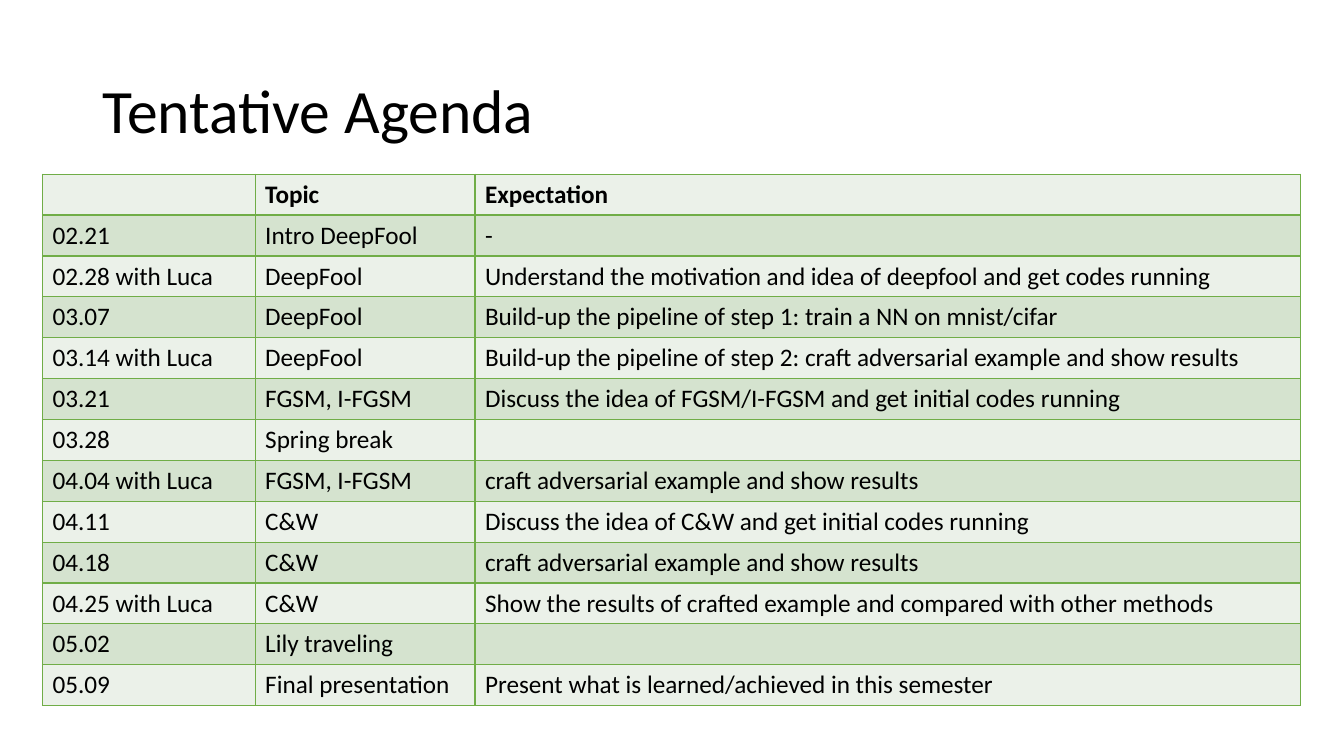
from lxml import etree
from pptx import Presentation
from pptx import util as u
from pptx.dml.color import RGBColor
from pptx.enum import text
from pptx.oxml.ns import qn

FONT = "Calibri"
COLORS = {"text": "000000", "border": "70AD47", "light": "EBF1E9", "dark": "D5E3CF"}
COLUMN_WIDTHS = (5.36, 5.54, 20.8)
ROW_HEIGHT = 1.03
AGENDA = [
    ("", "Topic", "Expectation"),
    ("02.21", "Intro DeepFool", "-"),
    ("02.28 with Luca", "DeepFool",
     "Understand the motivation and idea of deepfool and get codes running"),
    ("03.07", "DeepFool", "Build-up the pipeline of step 1: train a NN on mnist/cifar"),
    ("03.14 with Luca", "DeepFool",
     "Build-up the pipeline of step 2: craft adversarial example and show results"),
    ("03.21", "FGSM, I-FGSM",
     "Discuss the idea of FGSM/I-FGSM and get initial codes running"),
    ("03.28", "Spring break", ""),
    ("04.04 with Luca", "FGSM, I-FGSM", "craft adversarial example and show results"),
    ("04.11", "C&W", "Discuss the idea of C&W and get initial codes running"),
    ("04.18", "C&W", "craft adversarial example and show results"),
    ("04.25 with Luca", "C&W",
     "Show the results of crafted example and compared with other methods"),
    ("05.02", "Lily traveling", ""),
    ("05.09", "Final presentation", "Present what is learned/achieved in this semester"),
]


def add_run(p, content, size, bold=False):
    """Add one formatted run to a paragraph."""
    r = p.add_run()
    r.text = content
    r.font.name = FONT
    r.font.size = u.Pt(size)
    r.font.bold = bold
    r.font.color.rgb = RGBColor.from_string(COLORS["text"])


def set_title(slide, content):
    """Place and fill the title placeholder."""
    sp = slide.shapes.title
    sp.left, sp.top, sp.width, sp.height = map(u.Cm, (2.33, 1.01, 29.21, 3.68))
    tf = sp.text_frame
    tf.word_wrap = True
    tf.vertical_anchor = text.MSO_ANCHOR.MIDDLE
    p = tf.paragraphs[0]
    p.alignment = text.PP_ALIGN.LEFT
    p.line_spacing = 0.9
    add_run(p, content, 44)


def set_borders(cell):
    """Draw a thin line on all four sides of a cell."""
    tc_pr = cell._tc.get_or_add_tcPr()
    for side in ("a:lnL", "a:lnR", "a:lnT", "a:lnB"):
        ln = etree.SubElement(tc_pr, qn(side), w=str(u.Pt(1)))
        fill = etree.SubElement(ln, qn("a:solidFill"))
        etree.SubElement(fill, qn("a:srgbClr"), val=COLORS["border"])


def add_agenda(slide, rows):
    """Add the agenda table with alternating row fills."""
    frame = slide.shapes.add_table(
        len(rows), len(COLUMN_WIDTHS), u.Cm(1.07), u.Cm(4.39),
        u.Cm(sum(COLUMN_WIDTHS)), u.Cm(ROW_HEIGHT * len(rows)))
    table = frame.table
    table.first_row = table.horz_banding = False
    for column, width in zip(table.columns, COLUMN_WIDTHS):
        column.width = u.Cm(width)
    for i, row in enumerate(rows):
        table.rows[i].height = u.Cm(ROW_HEIGHT)
        for j, content in enumerate(row):
            cell = table.cell(i, j)
            set_borders(cell)
            cell.fill.solid()
            shade = COLORS["dark" if i % 2 else "light"]
            cell.fill.fore_color.rgb = RGBColor.from_string(shade)
            if content:
                add_run(cell.text_frame.paragraphs[0], content, 18, bold=i == 0)


def main():
    """Build and save the agenda slide."""
    prs = Presentation()
    prs.slide_width, prs.slide_height = u.Cm(33.87), u.Cm(19.05)
    slide = prs.slides.add_slide(prs.slide_layouts[5])
    set_title(slide, "Tentative Agenda")
    add_agenda(slide, AGENDA)
    prs.save("out.pptx")


if __name__ == "__main__":
    main()
